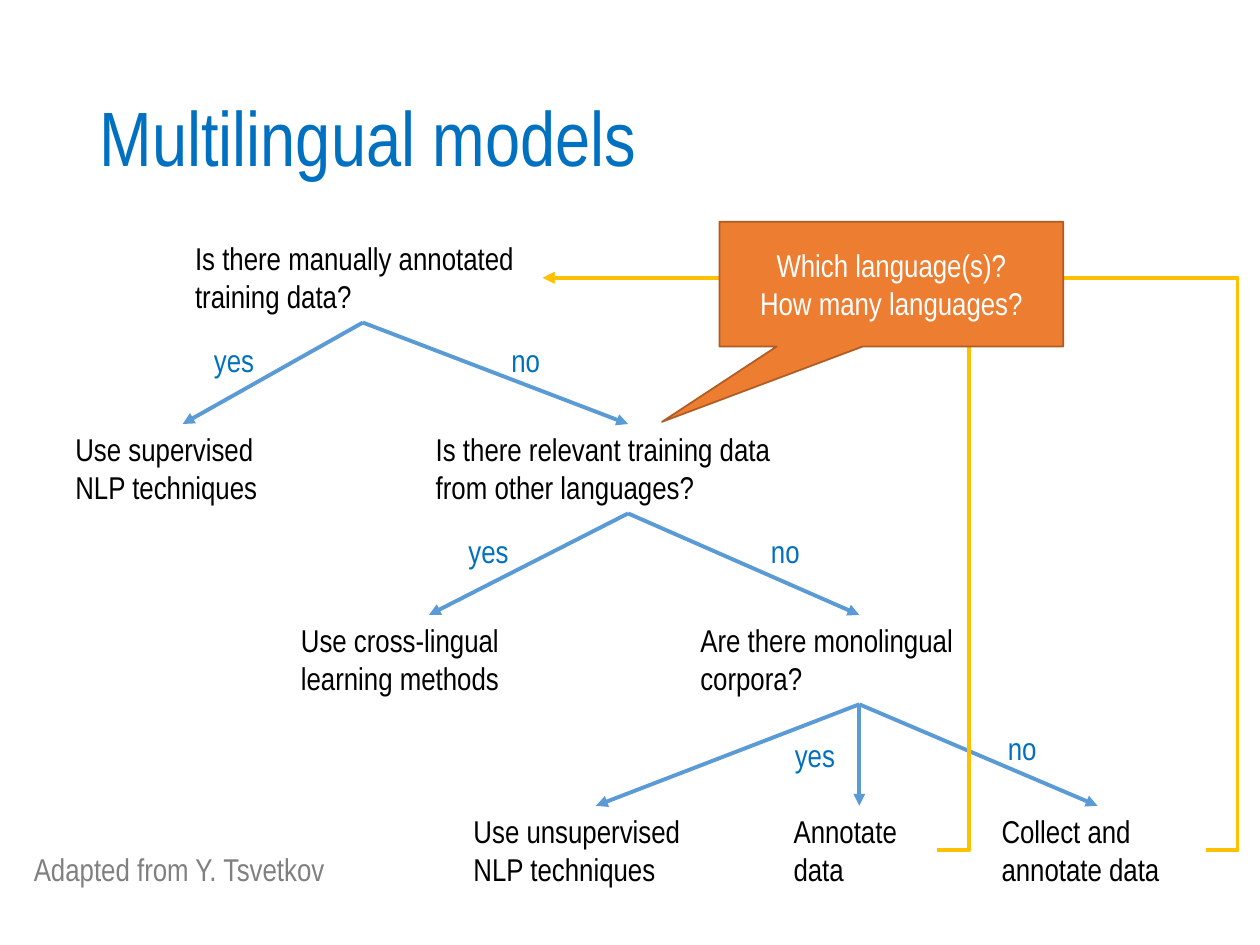
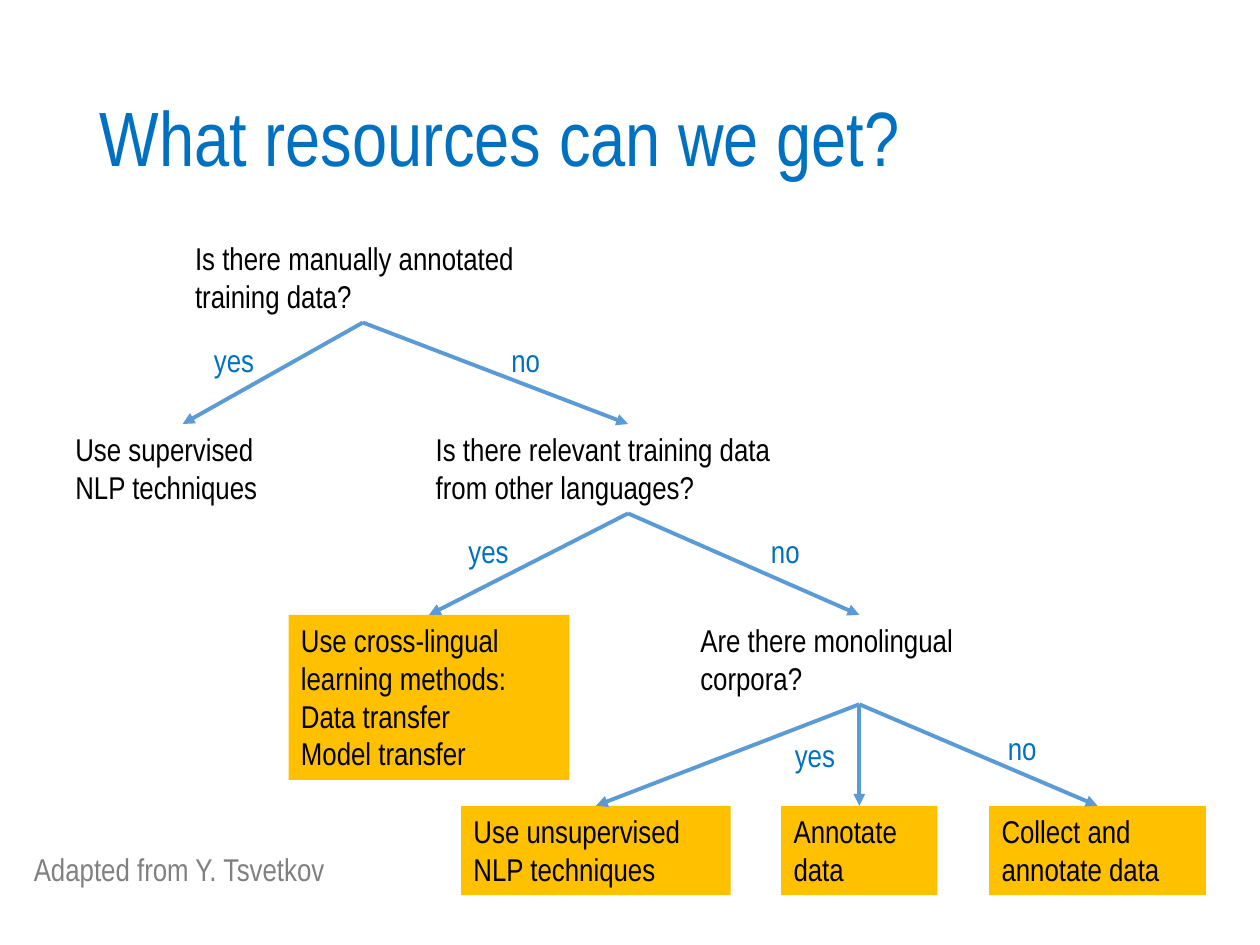
from lxml import etree
from pptx import Presentation
from pptx import util as u
from pptx.dml.color import RGBColor
from pptx.enum import shapes, text
from pptx.oxml.ns import qn

COLORS = {
    "accent": "0070C0", "body": "000000", "credit": "808080", "branch": "5B9BD5",
    "highlight": "FFC000", "callout": "ED7D31", "callout_edge": "AF5C24", "white": "FFFFFF",
}
FONT = "Arial Narrow"
TITLE_BOX = (0.69, 0.4, 8.62, 1.45)
TREE_ORIGIN = (0.5, 1.85)
ROW_STEP = 1.515
NODE_HEIGHT = 0.71
LOOP_MARGIN = 0.25

# Decision tree: name -> (row, left offset, width, text)
NODES = {
    "annotated": (0, 0.95, 2.86, "Is there manually annotated training data?"),
    "supervised": (1, 0, 1.9, "Use supervised NLP techniques"),
    "relevant": (1, 2.86, 3.25, "Is there relevant training data from other languages?"),
    "cross": (2, 1.79, 2.23, "Use cross-lingual learning methods"),
    "monolingual": (2, 4.96, 2.72, "Are there monolingual corpora?"),
    "unsupervised": (3, 3.16, 2.14, "Use unsupervised NLP techniques"),
    "annotate": (3, 5.7, 1.24, "Annotate data"),
    "collect": (3, 7.35, 1.72, "Collect and annotate data"),
}
BRANCHES = {
    "annotated": ("supervised", "relevant"),
    "relevant": ("cross", "monolingual"),
    "monolingual": ("unsupervised", "annotate", "collect"),
}
# Branch labels: text, left offset, top offset
ANSWERS = [
    ("yes", 1.1, 0.81), ("no", 3.46, 0.81),
    ("yes", 3.12, 2.32), ("no", 5.52, 2.32),
    ("yes", 5.71, 3.94), ("no", 7.4, 3.89),
]
ANSWER_WIDTHS = {"yes": 0.56, "no": 0.48}


def rgb(name):
    return RGBColor.from_string(COLORS[name])


def inches(*values):
    return [u.Inches(value) for value in values]


def write(frame, lines, color, size=18, align=text.PP_ALIGN.LEFT, spacing=None):
    for index, line in enumerate(lines):
        paragraph = frame.paragraphs[0] if index == 0 else frame.add_paragraph()
        paragraph.alignment = align
        if spacing:
            paragraph.line_spacing = spacing
        run = paragraph.add_run()
        run.text = line
        run.font.name = FONT
        run.font.size = u.Pt(size)
        run.font.color.rgb = rgb(color)


def add_text(slide, box, lines, color, wrap=True, fill=None):
    shape = slide.shapes.add_textbox(*inches(*box))
    shape.text_frame.word_wrap = wrap
    shape.text_frame.auto_size = text.MSO_AUTO_SIZE.SHAPE_TO_FIT_TEXT
    if fill:
        shape.fill.solid()
        shape.fill.fore_color.rgb = rgb(fill)
    write(shape.text_frame, lines, color)
    return shape


def add_arrow(slide, kind, start, start_side, end, end_side, color):
    connector = slide.shapes.add_connector(kind, 0, 0, 0, 0)
    connector.begin_connect(start, start_side)
    connector.end_connect(end, end_side)
    connector.line.color.rgb = rgb(color)
    connector.line.width = u.Pt(2.25)
    etree.SubElement(connector.line._get_or_add_ln(), qn("a:tailEnd"), type="triangle")
    etree.SubElement(connector._element.spPr, qn("a:effectLst"))
    return connector


def add_base_slide(presentation, title):
    """Slide with the shared title and credit."""
    slide = presentation.slides.add_slide(presentation.slide_layouts[5])
    shape = slide.shapes.title
    shape.left, shape.top, shape.width, shape.height = inches(*TITLE_BOX)
    frame = shape.text_frame
    frame.word_wrap = True
    frame.auto_size = text.MSO_AUTO_SIZE.NONE
    frame.vertical_anchor = text.MSO_ANCHOR.MIDDLE
    write(frame, [title], "accent", size=44, spacing=0.9)
    add_text(slide, (0.17, 6.7, 2.97, 0.4), ["Adapted from Y. Tsvetkov"], "credit", wrap=False)
    return slide


def add_tree(slide, origin, highlighted=(), details=None):
    """Questions, outcomes and labelled branches, placed from the origin."""
    left, top = origin
    details = details or {}
    nodes = {}
    for name, (row, offset, width, label) in NODES.items():
        lines, height = details.get(name, ([label], NODE_HEIGHT))
        box = (left + offset, top + row * ROW_STEP, width, height)
        fill = "highlight" if name in highlighted else None
        nodes[name] = add_text(slide, box, lines, "body", fill=fill)

    for question, outcomes in BRANCHES.items():
        for outcome in outcomes:
            add_arrow(slide, shapes.MSO_CONNECTOR.STRAIGHT,
                      nodes[question], 2, nodes[outcome], 0, "branch")

    for answer, x, y in ANSWERS:
        box = (left + x, top + y, ANSWER_WIDTHS[answer], 0.4)
        add_text(slide, box, [answer], "accent", wrap=False)
    return nodes


def add_loop(slide, start, end):
    """Elbow arrow that leaves and enters on the right, passing outside the start."""
    connector = add_arrow(slide, shapes.MSO_CONNECTOR.ELBOW, start, 3, end, 3, "highlight")
    bend = -round(u.Inches(LOOP_MARGIN) / connector.width * 100000)
    adjustments = connector._element.spPr.find(qn("a:prstGeom")).get_or_add_avLst()
    etree.SubElement(adjustments, qn("a:gd"), name="adj1", fmla=f"val {bend}")


def add_callout(slide, box, lines):
    shape = slide.shapes.add_shape(shapes.MSO_SHAPE.RECTANGULAR_CALLOUT, *inches(*box))
    shape.adjustments[0], shape.adjustments[1] = -0.667, 1.104
    shape.shadow.inherit = False
    shape.fill.solid()
    shape.fill.fore_color.rgb = rgb("callout")
    shape.line.color.rgb = rgb("callout_edge")
    shape.line.width = u.Pt(1)
    shape.text_frame.word_wrap = True
    shape.text_frame.vertical_anchor = text.MSO_ANCHOR.MIDDLE
    write(shape.text_frame, lines, "white", align=text.PP_ALIGN.CENTER)


def build_models_slide(presentation):
    slide = add_base_slide(presentation, "Multilingual models")
    nodes = add_tree(slide, TREE_ORIGIN)
    for name in ("annotate", "collect"):
        add_loop(slide, nodes[name], nodes["annotated"])
    add_callout(slide, (5.71, 1.76, 2.73, 0.99), ["Which language(s)?", "How many languages?"])


def build_resources_slide(presentation):
    slide = add_base_slide(presentation, "What resources can we get?")
    methods = ["Use cross-lingual learning methods:", "Data transfer", "Model transfer"]
    add_tree(slide, TREE_ORIGIN,
             highlighted=("cross", "unsupervised", "annotate", "collect"),
             details={"cross": (methods, 1.31)})


def main():
    presentation = Presentation()
    presentation.slide_width, presentation.slide_height = inches(10, 7.5)
    build_models_slide(presentation)
    build_resources_slide(presentation)
    presentation.save("out.pptx")


if __name__ == "__main__":
    main()
